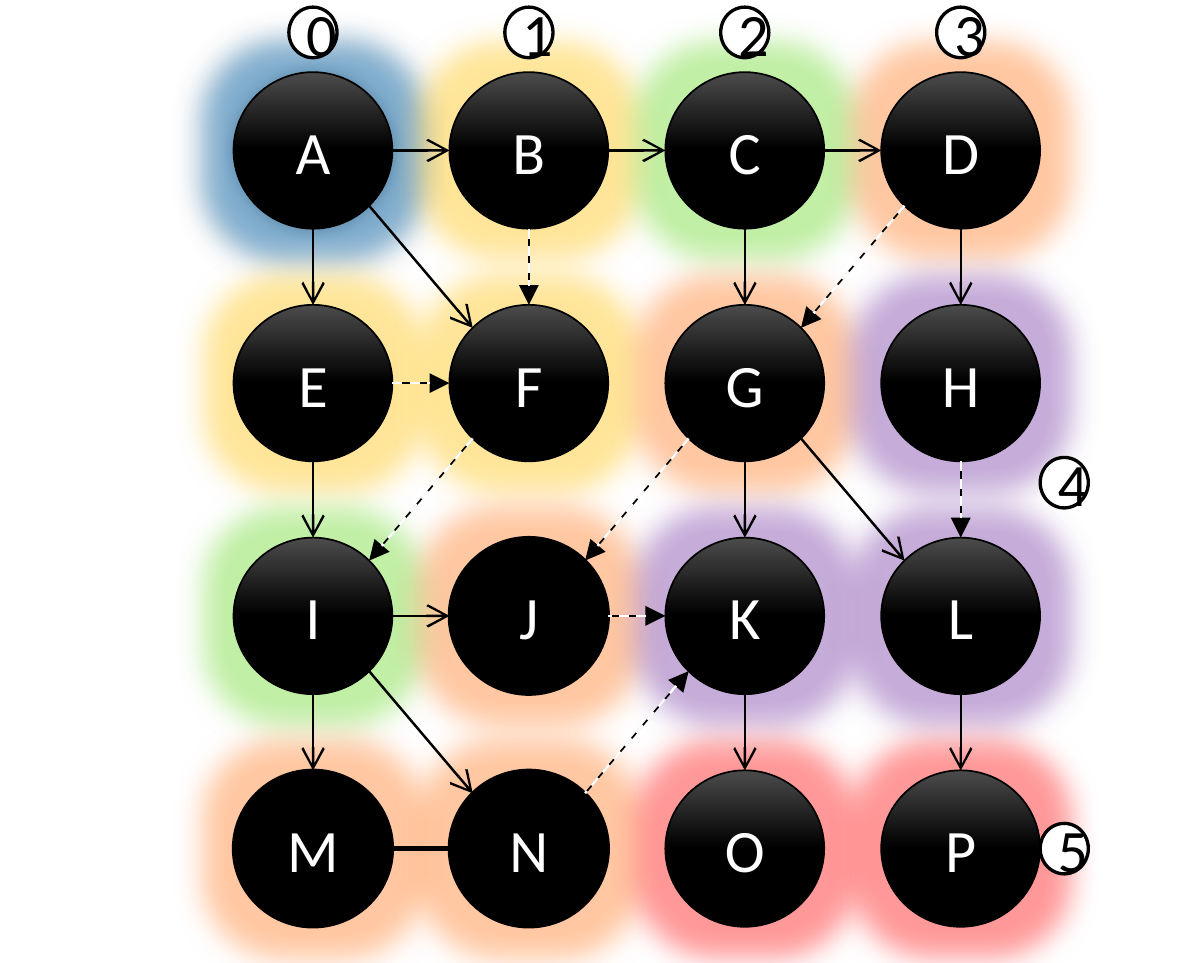
from dataclasses import dataclass
from math import hypot, sqrt

from lxml import etree
from pptx import Presentation
from pptx.dml.color import RGBColor
from pptx.enum.dml import MSO_LINE
from pptx.enum.shapes import MSO_CONNECTOR, MSO_SHAPE
from pptx.enum.text import MSO_ANCHOR, PP_ALIGN
from pptx.oxml.ns import qn
from pptx.util import Inches, Pt

OVAL = MSO_SHAPE.OVAL
STRAIGHT = MSO_CONNECTOR.STRAIGHT
DASH = MSO_LINE.DASH
CENTER = PP_ALIGN.CENTER
MIDDLE = MSO_ANCHOR.MIDDLE


@dataclass(frozen=True)
class Theme:
    font: str = "Calibri"
    size: float = 18
    ink: str = "000000"
    paper: str = "FFFFFF"
    sheen: str = "4B4B4B"
    glow_size: float = 18
    hair: float = 0.5
    thin: float = 0.75
    outline: float = 1
    thick: float = 1.5


THEME = Theme()

# Glow colour of each step
STEPS = ["0070C0", "FFC000", "64D71E", "FF7619", "7030A0", "FF0000"]

# Nodes row by row, and the step that reaches each one
ROWS = ["ABCD", "EFGH", "IJKL", "MNOP"]
NODE_STEPS = ["0123", "1134", "2344", "3355"]
FLAT_NODES = "JMN"
SHADOWED_NODE = "A"
NODE_W, NODE_H = 0.66, 0.65

# Links, written as start node and end node
TREE_LINKS = "AE AB AF BC CD DH LP CG GL EI IM IN IJ KO GK".split()
CROSS_LINKS = "FI BF EF GJ DG JK NK HL".split()
REVERSED_DASHES = ["JK", "NK"]
PEER_LINK = "MN"
ARROW_GAP = 0.08

BADGE_W, BADGE_H = 0.2, 0.21


def rgb(value):
    return RGBColor.from_string(value)


def add_effect(sp, tag, color, alpha, **attrs):
    effects = sp._element.spPr.find(qn("a:effectLst"))
    effect = etree.SubElement(effects, qn(tag), {k: str(v) for k, v in attrs.items()})
    clr = etree.SubElement(effect, qn("a:srgbClr"), val=color)
    etree.SubElement(clr, qn("a:alpha"), val=str(alpha * 1000))


def add_circle(s, box, text, color, line_width):
    sp = s.shapes.add_shape(OVAL, *map(Inches, box))
    sp.shadow.inherit = False
    sp.line.color.rgb = rgb(THEME.ink)
    sp.line.width = Pt(line_width)
    tf = sp.text_frame
    tf.vertical_anchor = MIDDLE
    p = tf.paragraphs[0]
    p.alignment = CENTER
    r = p.add_run()
    r.text = text
    r.font.name = THEME.font
    r.font.size = Pt(THEME.size)
    r.font.color.rgb = rgb(color)
    return sp


def add_node(s, box, name, step):
    flat = name in FLAT_NODES
    sp = add_circle(s, box, name, THEME.paper, THEME.outline if flat else THEME.hair)
    if flat:
        sp.fill.solid()
        sp.fill.fore_color.rgb = rgb(THEME.ink)
    else:
        sp.fill.gradient()
        sp.fill.gradient_angle = 270
        stops = zip(sp.fill.gradient_stops, (0, 0.5), (THEME.sheen, THEME.ink))
        for stop, position, color in stops:
            stop.position = position
            stop.color.rgb = rgb(color)
    add_effect(sp, "a:glow", STEPS[step], 40, rad=Pt(THEME.glow_size))
    if name == SHADOWED_NODE:
        add_effect(sp, "a:outerShdw", THEME.ink, 40, blurRad=Pt(5), dist=0, dir=0)


def add_nodes(s, box):
    """Fill the box with the node grid and return the node centres."""
    left, top, width, height = box
    step_x = (width - NODE_W) / (len(ROWS[0]) - 1)
    step_y = (height - NODE_H) / (len(ROWS) - 1)
    centers = {}
    for row, names in enumerate(ROWS):
        for col, name in enumerate(names):
            x, y = left + col * step_x, top + row * step_y
            add_node(s, (x, y, NODE_W, NODE_H), name, int(NODE_STEPS[row][col]))
            centers[name] = (x + NODE_W / 2, y + NODE_H / 2)
    return centers


def link_ends(centers, link):
    """Return the rim points where a link leaves and meets its nodes."""
    (x1, y1), (x2, y2) = (centers[name] for name in link)
    dx, dy = ((d > 0.01) - (d < -0.01) for d in (x2 - x1, y2 - y1))
    reach = sqrt(0.5) if dx and dy else 1
    rx, ry = dx * reach * NODE_W / 2, dy * reach * NODE_H / 2
    return (x1 + rx, y1 + ry), (x2 - rx, y2 - ry)


def add_line(s, start, end, color, width, head=None, dash=None):
    cn = s.shapes.add_connector(STRAIGHT, *map(Inches, (*start, *end)))
    cn.line.color.rgb = rgb(color)
    cn.line.width = Pt(width)
    if dash is not None:
        cn.line.dash_style = dash
    if head:
        etree.SubElement(cn.line._get_or_add_ln(), qn("a:tailEnd"), type=head)
    etree.SubElement(cn._element.spPr, qn("a:effectLst"))


def add_links(s, centers):
    for link in TREE_LINKS:
        add_line(s, *link_ends(centers, link), THEME.ink, THEME.thin, "arrow")
    add_line(s, *link_ends(centers, PEER_LINK), THEME.ink, THEME.thick)

    # Cross links: black arrow with white dashes that stop at the arrowhead
    for link in CROSS_LINKS:
        start, end = link_ends(centers, link)
        add_line(s, start, end, THEME.ink, THEME.hair, "triangle")
        dx, dy = end[0] - start[0], end[1] - start[1]
        part = 1 - ARROW_GAP / hypot(dx, dy)
        dashes = [start, (start[0] + dx * part, start[1] + dy * part)]
        if link in REVERSED_DASHES:
            dashes.reverse()
        add_line(s, *dashes, THEME.paper, THEME.thin, dash=DASH)


def add_badges(s, box, centers):
    """Number the columns above the grid, then the last steps at its right."""
    left, top, width, _ = box
    places = [(centers[name][0] - BADGE_W / 2, top - 0.27) for name in ROWS[0]]
    places += [(left + width, top + drop) for drop in (1.6, 3.12)]
    for number, place in enumerate(places):
        sp = add_circle(s, (*place, BADGE_W, BADGE_H), str(number),
                        THEME.ink, THEME.outline)
        sp.fill.solid()
        sp.fill.fore_color.rgb = rgb(THEME.paper)


def build_graph(s, box):
    centers = add_nodes(s, box)
    add_links(s, centers)
    add_badges(s, box, centers)


prs = Presentation()
prs.slide_width, prs.slide_height = Inches(5), Inches(4)
s = prs.slides.add_slide(prs.slide_layouts[6])
build_graph(s, (0.97, 0.3, 3.35, 3.55))
prs.save("out.pptx")
